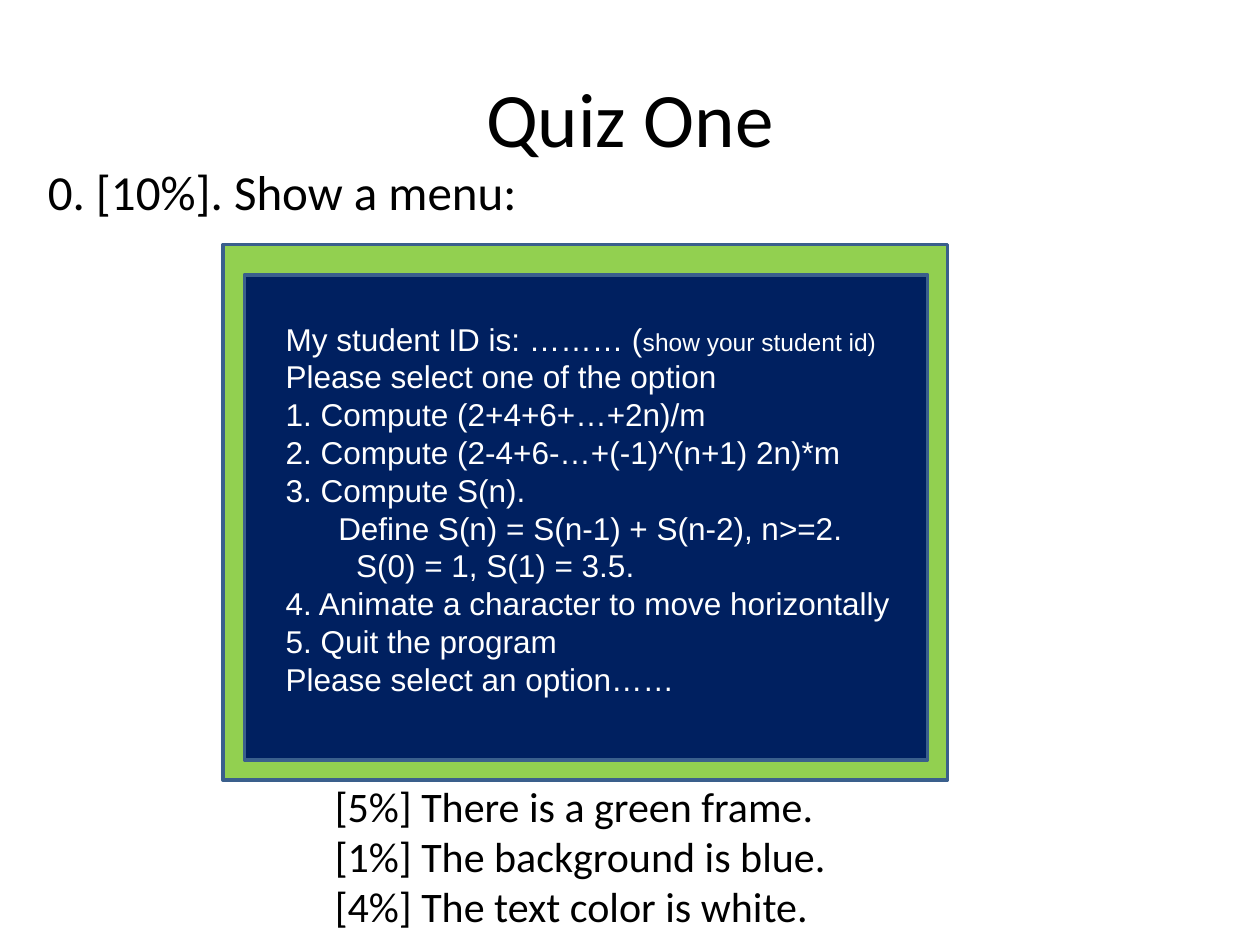
from lxml.etree import SubElement
from pptx import Presentation
from pptx.dml.color import RGBColor
from pptx.enum.shapes import MSO_SHAPE as Shape
from pptx.enum.text import MSO_ANCHOR as Anchor, MSO_AUTO_SIZE as AutoSize, PP_ALIGN as Align
from pptx.oxml.ns import qn
from pptx.util import Cm, Pt

BLACK = RGBColor(0x00, 0x00, 0x00)
WHITE = RGBColor(0xFF, 0xFF, 0xFF)
GREEN = RGBColor(0x92, 0xD0, 0x50)
NAVY = RGBColor(0x00, 0x20, 0x60)
OUTLINE = RGBColor(0x3A, 0x5F, 0x8C)

HANGING = 1.42  # hanging indent of list lines, in cm

# Each menu line: left margin and first-line indent in cm, then (text, size) runs
ITEM = (HANGING, -HANGING)
MENU = [
    (ITEM, [("My student ID is: ……… (", 18), ("show your student id)", 14)]),
    (ITEM, [("Please select one of the option", 18)]),
    (ITEM, [("1. Compute (2+4+6+…+2n)/m", 18)]),
    (ITEM, [("2. Compute (2-4+6-…+(-1)^(n+1) 2n)*m", 18)]),
    (ITEM, [("3. Compute S(n).", 18)]),
    ((1.06, 0), [("Define S(n) = S(n-1) + S(n-2), n>=2.", 18)]),
    ((HANGING, 0), [("S(0) = 1, S(1) = 3.5.", 18)]),
    (ITEM, [("4. Animate a character to move horizontally", 18)]),
    (ITEM, [("5. Quit the program", 18)]),
    (ITEM, [("Please select an option……", 18)]),
]
GRADING = [
    "[5%] There is a green frame.",
    "[1%] The background is blue.",
    "[4%] The text color is white.",
]


def place(shape, left, top, width, height):
    shape.left, shape.top = Cm(left), Cm(top)
    shape.width, shape.height = Cm(width), Cm(height)


def add_run(para, text, size, font="Calibri", color=BLACK):
    span = para.add_run()
    span.text = text
    span.font.name = font
    span.font.size = Pt(size)
    span.font.color.rgb = color


def set_indent(para, left, first):
    properties = para._p.get_or_add_pPr()
    properties.set("marL", str(Cm(left)))
    properties.set("indent", str(Cm(first)))


def fill_title(title):
    place(title, 1.27, 0.76, 22.86, 3.18)
    title.text_frame.vertical_anchor = Anchor.MIDDLE
    para = title.text_frame.paragraphs[0]
    para.alignment = Align.CENTER
    add_run(para, "Quiz One", 44)


def fill_body(body):
    place(body, 0.71, 3.12, 24.21, 13.49)
    para = body.text_frame.paragraphs[0]
    set_indent(para, *ITEM)
    SubElement(para._p.get_or_add_pPr(), qn("a:buNone"))
    add_run(para, "0. [10%]. Show a menu:", 28)


def add_panel(slide, color, *bounds):
    panel = slide.shapes.add_shape(Shape.RECTANGLE, *map(Cm, bounds))
    panel.shadow.inherit = False
    panel.fill.solid()
    panel.fill.fore_color.rgb = color
    panel.line.color.rgb = OUTLINE
    panel.line.width = Pt(2)


def add_text_box(slide, lines, bounds, wrap, **style):
    box = slide.shapes.add_textbox(*map(Cm, bounds))
    frame = box.text_frame
    frame.word_wrap = wrap
    frame.auto_size = AutoSize.SHAPE_TO_FIT_TEXT
    for number, (indent, runs) in enumerate(lines):
        para = frame.add_paragraph() if number else frame.paragraphs[0]
        set_indent(para, *indent)
        for text, size in runs:
            add_run(para, text, size, **style)


def main():
    deck = Presentation()
    deck.slide_width, deck.slide_height = Cm(25.4), Cm(19.05)
    slide = deck.slides.add_slide(deck.slide_layouts[1])
    title, body = slide.placeholders

    # Heading
    fill_title(title)

    # Menu screen: green frame around a navy background
    add_panel(slide, GREEN, 4.5, 4.93, 14.6, 10.8)
    add_panel(slide, NAVY, 4.93, 5.54, 13.77, 9.78)

    # Question, stacked above the panels
    fill_body(body)
    slide.shapes.element.append(body.element)

    # Grading notes and menu text
    notes = [((0, 0), [(text, 24)]) for text in GRADING]
    add_text_box(slide, notes, (6.5, 15.6, 10.49, 3.33), wrap=False)
    add_text_box(slide, MENU, (5.51, 6.32, 12.7, 7.95), wrap=True,
                 font="Arial", color=WHITE)

    deck.save("out.pptx")


if __name__ == "__main__":
    main()
